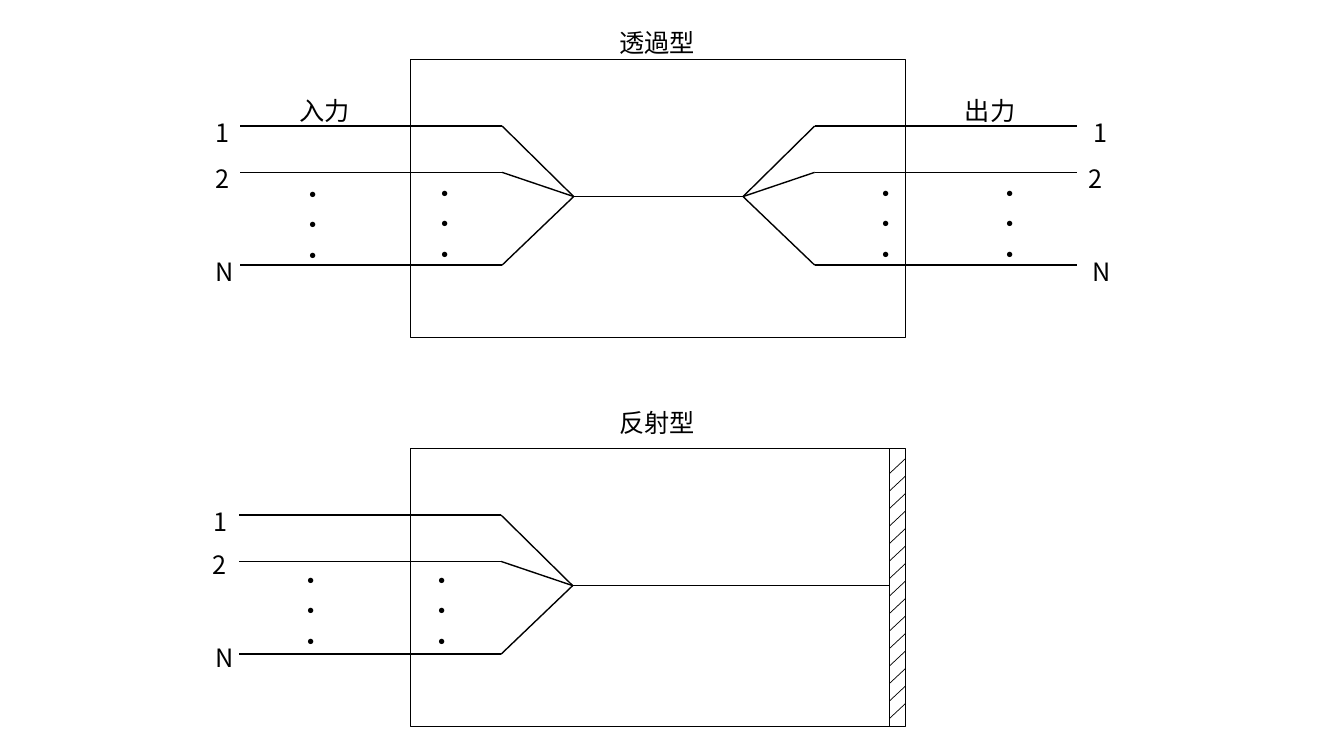
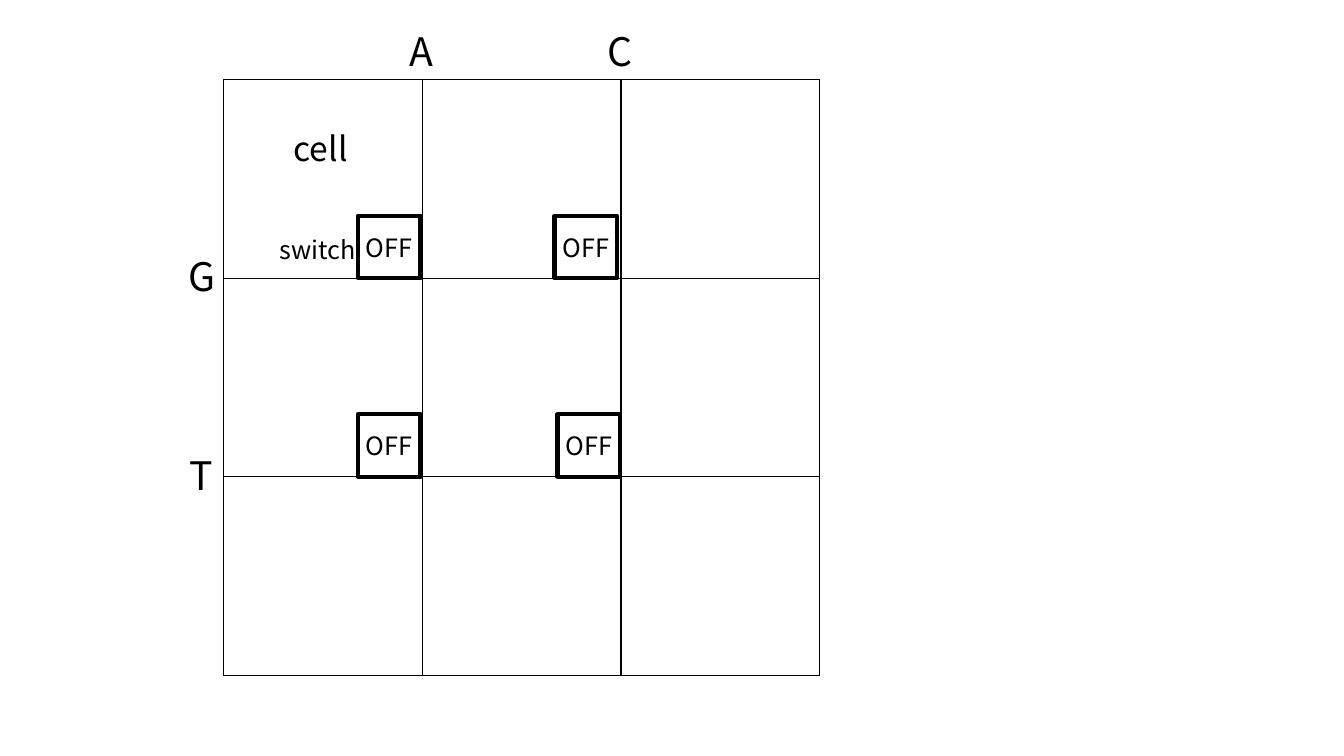
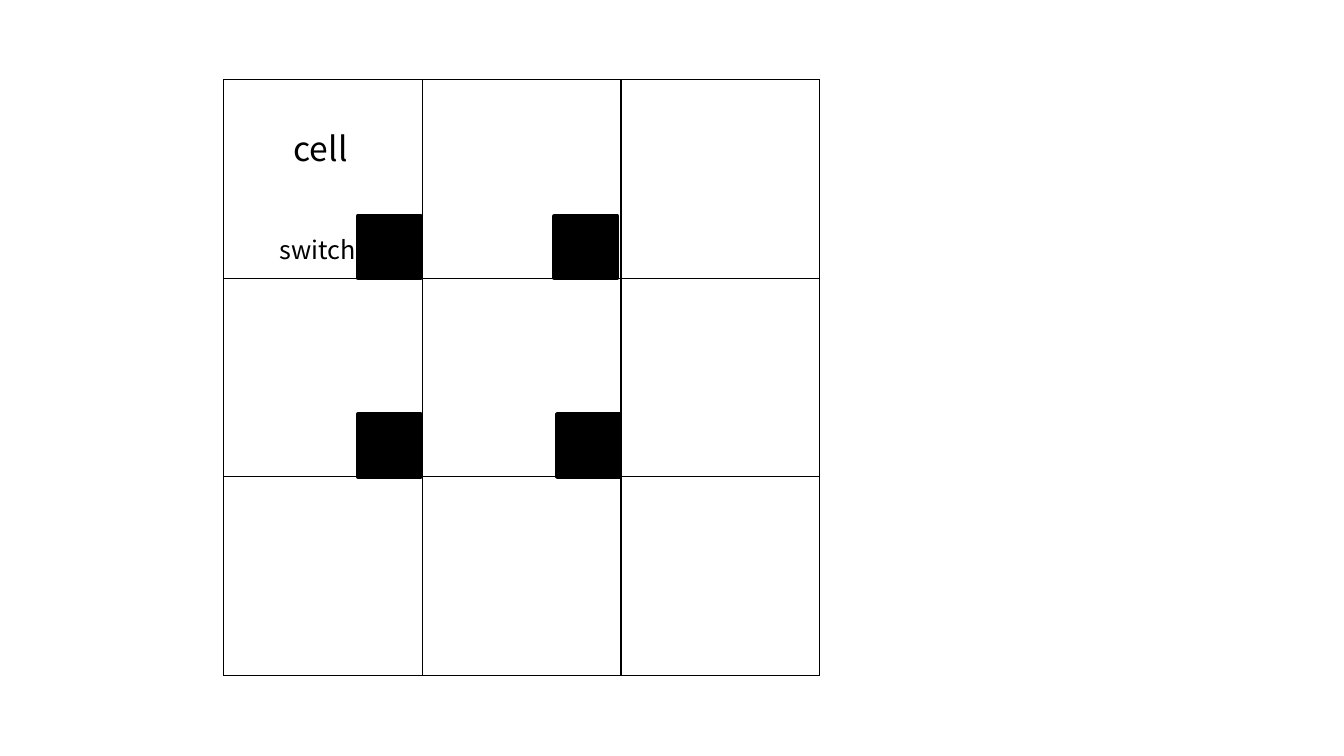
import pptx
import pptx.util
import pptx.dml.color
import pptx.enum.shapes
import pptx.enum.text
import pptx.oxml
import pptx.oxml.ns
from pptx.util import Inches

COLORS = {"ink": "000000", "paper": "FFFFFF"}
FONT = "Noto Sans CJK JP"
TEXT_SIZE = 18
LINE_HEIGHT = 1.2
ROW_OFFSETS = (-0.7, -0.24, 0.68)
BEND, REACH = 0.71, 3.31
PORT_NAMES = ("1", "2", "N")
CASE_SIZE = (4.91, 2.76)
CELL = 1.97
GRID_BOX = (2.22, 0.79, 3 * CELL, 3 * CELL)
SWITCH_SIZE = 0.62
SWITCH_OFFSETS = ((1.33, 1.35), (3.28, 1.35), (1.33, 3.32), (3.31, 3.32))


def rgb(name):
    """Return a colour of the palette."""
    return pptx.dml.color.RGBColor.from_string(COLORS[name])


def fill_frame(frame, lines, size=TEXT_SIZE):
    """Write centred lines, one paragraph each, into a text frame."""
    frame.word_wrap = False
    frame.vertical_anchor = pptx.enum.text.MSO_ANCHOR.MIDDLE
    for index, line in enumerate(lines):
        paragraph = frame.add_paragraph() if index else frame.paragraphs[0]
        paragraph.alignment = pptx.enum.text.PP_ALIGN.CENTER
        paragraph.line_spacing = pptx.util.Pt(LINE_HEIGHT * size)
        run = paragraph.add_run()
        run.text = line
        run.font.size = pptx.util.Pt(size)
        run.font.color.rgb = rgb("ink")
        run.font.name = FONT
        east_asian = pptx.oxml.parse_xml(
            f'<a:ea {pptx.oxml.ns.nsdecls("a")} typeface="{FONT}"/>')
        run.font._element.find(pptx.oxml.ns.qn("a:latin")).addnext(east_asian)


def add_text(shapes, center_x, center_y, width, lines, size=TEXT_SIZE):
    """Add a text box around a centre point."""
    height = 0.1 + len(lines) * LINE_HEIGHT * size / 72
    box = shapes.add_textbox(Inches(center_x - width / 2), Inches(center_y - height / 2),
                             Inches(width), Inches(height))
    fill_frame(box.text_frame, lines, size)


def add_line(shapes, start, end, weight=1):
    """Add a straight line without a shadow."""
    line = shapes.add_connector(pptx.enum.shapes.MSO_CONNECTOR.STRAIGHT,
                                *map(Inches, start + end))
    line.line.color.rgb = rgb("ink")
    line.line.width = pptx.util.Pt(weight)
    effects = pptx.oxml.parse_xml(f'<a:effectLst {pptx.oxml.ns.nsdecls("a")}/>')
    line._element.spPr.append(effects)


def add_rectangle(shapes, box, fill=None, weight=1):
    """Add an outlined rectangle, hollow unless a fill is named."""
    shape = shapes.add_shape(pptx.enum.shapes.MSO_SHAPE.RECTANGLE, *map(Inches, box))
    shape.shadow.inherit = False
    if fill:
        shape.fill.solid()
        shape.fill.fore_color.rgb = rgb(fill)
    else:
        shape.fill.background()
    shape.line.color.rgb = rgb("ink")
    shape.line.width = pptx.util.Pt(weight)
    return shape


def add_fan(shapes, node, side, label_offsets, dots):
    """Draw the branches from a node to its ports; side is -1 (left) or 1 (right)."""
    node_x, node_y = node
    bend_x, end_x = node_x + side * BEND, node_x + side * REACH
    for name, offset, (label_x, label_y) in zip(PORT_NAMES, ROW_OFFSETS, label_offsets):
        row_y = node_y + offset
        add_line(shapes, (node_x, node_y), (bend_x, row_y))
        add_line(shapes, (bend_x, row_y), (end_x, row_y))
        add_text(shapes, node_x + side * label_x, row_y + label_y, 0.34, [name])
    for dots_x, dots_y in dots:
        add_text(shapes, node_x + side * dots_x, node_y + dots_y, 0.36, ["・"] * 3)


def add_transmissive(slide, left, top):
    """Draw the device with inputs on the left and outputs on the right."""
    shapes = slide.shapes.add_group_shape().shapes
    width, height = CASE_SIZE
    add_rectangle(shapes, (left, top, width, height))
    input_node, output_node = (left + 1.62, top + 1.36), (left + 3.3, top + 1.36)
    add_line(shapes, input_node, output_node)
    add_fan(shapes, input_node, -1, ((3.48, 0.06),) * 3, ((1.32, 0.27), (2.63, 0.28)))
    add_fan(shapes, output_node, 1, ((3.54, 0.06), (3.5, 0.06), (3.54, 0.06)),
            ((1.38, 0.27), (2.61, 0.27)))
    add_text(shapes, left - 0.85, top + 0.51, 0.71, ["入力"])
    add_text(shapes, left + 5.75, top + 0.51, 0.71, ["出力"])
    add_text(slide.shapes, left + width / 2 - 0.01, top - 0.17, 0.96, ["透過型"])


def add_reflective(slide, left, top):
    """Draw the device that ends in a hatched mirror."""
    shapes = slide.shapes.add_group_shape().shapes
    width, height = CASE_SIZE
    add_rectangle(shapes, (left, top, width, height))
    node = (left + 1.61, top + 1.36)
    mirror_left, mirror_right = left + 4.75, left + width
    add_line(shapes, node, (mirror_left, node[1]))
    add_fan(shapes, node, -1, ((3.49, 0.06), (3.5, 0.03), (3.47, 0.03)),
            ((1.34, 0.25), (2.64, 0.25)))
    add_line(shapes, (mirror_left, top), (mirror_left, top + height), 0.5)
    hatch_count = 15
    hatch_step = 2.43 / (hatch_count - 1)
    for index in range(hatch_count):
        hatch_top = top + 0.1 + index * hatch_step
        add_line(shapes, (mirror_right, hatch_top), (mirror_left, hatch_top + 0.15), 0.5)
    add_text(slide.shapes, left + width / 2 - 0.01, top - 0.26, 0.96, ["反射型"])


def add_border(cell):
    """Give a table cell a thin line on all four sides."""
    properties = cell._tc.get_or_add_tcPr()
    for index, side in enumerate(("lnL", "lnR", "lnT", "lnB")):
        properties.insert(index, pptx.oxml.parse_xml(
            f'<a:{side} {pptx.oxml.ns.nsdecls("a")} w="12700"><a:solidFill>'
            f'<a:srgbClr val="{COLORS["ink"]}"/></a:solidFill></a:{side}>'))


def add_cell_grid(slide, box, switch_fill, switch_text=None):
    """Draw the three by three cells with a switch at each inner crossing."""
    left, top = box[:2]
    table = slide.shapes.add_table(3, 3, *map(Inches, box)).table
    table.first_row = table.horz_banding = False
    for cell in table.iter_cells():
        cell.fill.background()
        add_border(cell)
    for offset_x, offset_y in SWITCH_OFFSETS:
        switch = add_rectangle(slide.shapes, (left + offset_x, top + offset_y,
                                              SWITCH_SIZE, SWITCH_SIZE), switch_fill, 3)
        if switch_text:
            fill_frame(switch.text_frame, [switch_text])
    add_text(slide.shapes, left + 0.96, top + 0.68, 0.74, ["cell"], 24)
    add_text(slide.shapes, left + 0.93, top + 1.68, 0.96, ["switch"])


def add_line_names(slide, box):
    """Name the inner columns above the grid and the inner rows beside it."""
    left, top = box[:2]
    for index, (column, row) in enumerate(("AG", "CT"), start=1):
        add_text(slide.shapes, left + index * CELL - 0.01, top - 0.29, 0.46, [column], 28)
        add_text(slide.shapes, left - 0.22, top + index * CELL - 0.02, 0.46, [row], 28)


presentation = pptx.Presentation()
presentation.slide_width, presentation.slide_height = Inches(13.33), Inches(7.5)
blank_layout = presentation.slide_layouts[6]

device_slide = presentation.slides.add_slide(blank_layout)
add_transmissive(device_slide, 4.07, 0.59)
add_reflective(device_slide, 4.07, 4.45)

off_slide = presentation.slides.add_slide(blank_layout)
add_cell_grid(off_slide, GRID_BOX, "paper", "OFF")
add_line_names(off_slide, GRID_BOX)

filled_slide = presentation.slides.add_slide(blank_layout)
add_cell_grid(filled_slide, GRID_BOX, "ink")

presentation.save("out.pptx")
